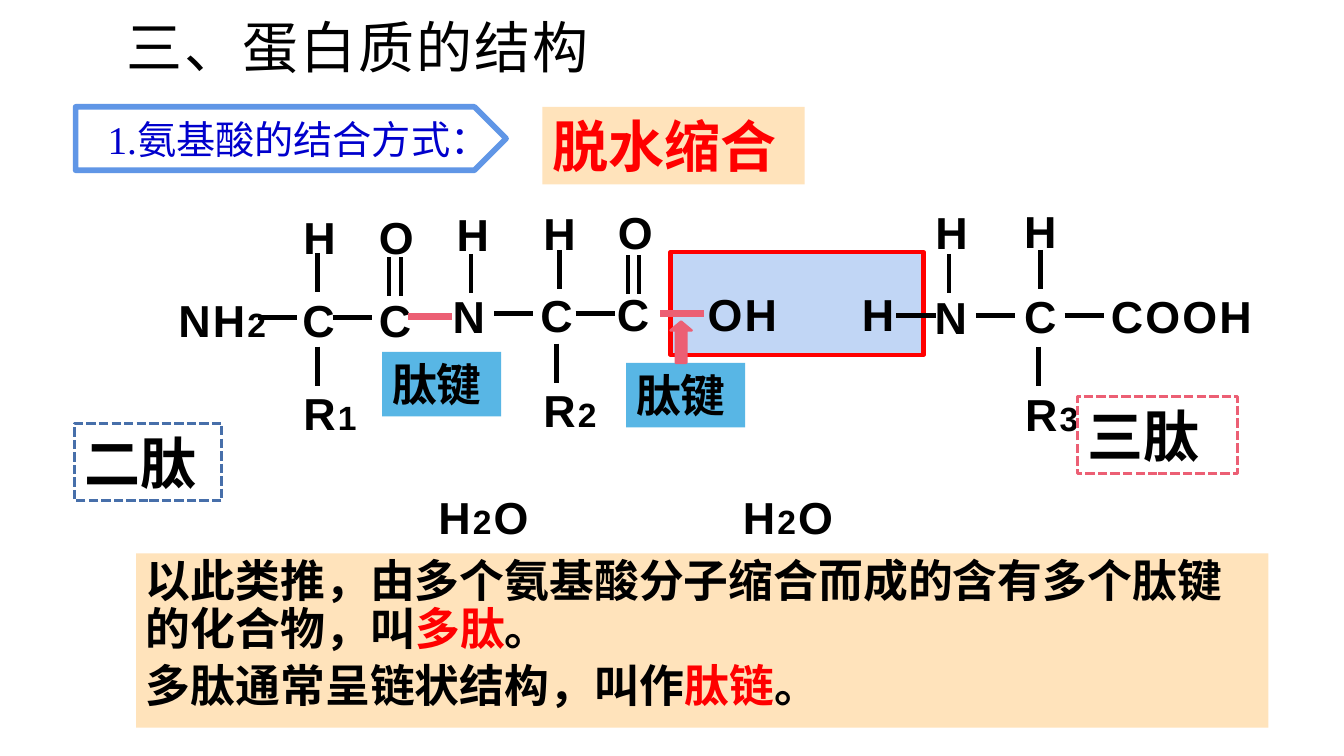
import pptx
import pptx.util
import pptx.dml.color
import pptx.enum.dml
import pptx.enum.shapes
import pptx.enum.text
import pptx.oxml.ns
from lxml import etree

Inches, Pt = pptx.util.Inches, pptx.util.Pt
SHAPE = pptx.enum.shapes.MSO_SHAPE
CJK, LATIN, SERIF = "Noto Sans CJK SC", "Arial", "Times New Roman"
BLACK, RED, PINK, CREAM, SKY = "000000", "FF0000", "EC5F74", "FFE3BB", "58B6E5"

# Content: panels as (text, left, top, width, height, size, font, text colour, fill, dashed line)
TITLE = ("三、蛋白质的结构", 1.16, 0.08, 8.45, 0.77)
HEADING = ("1.氨基酸的结合方式：", 0.75, 1.06, 4.27, 0.63)
PANELS = [
    ("脱水缩合", 5.38, 1.06, 2.6, 0.77, 40, SERIF, RED, CREAM, None),
    ("肽键", 3.79, 3.49, 1.18, 0.64, 32, CJK, BLACK, SKY, None),
    ("肽键", 6.21, 3.6, 1.18, 0.64, 32, CJK, BLACK, SKY, None),
    ("三肽", 10.69, 3.93, 1.58, 0.77, 40, CJK, BLACK, None, PINK),
    ("二肽", 0.74, 4.2, 1.46, 0.77, 40, CJK, BLACK, None, "476FAA"),
]
SUMMARY = [
    [("以此类推，由多个氨基酸分子缩合而成的含有多个肽键的化合物，叫", BLACK),
     ("多肽", RED), ("。", BLACK)],
    [("多肽通常呈链状结构，叫作", BLACK), ("肽链", RED), ("。", BLACK)],
]
# Atom groups: (formula, left, top); digits are set smaller
ATOMS = [
    ("NH2", 1.67, 2.85), ("C", 2.9, 2.85), ("H", 2.91, 2.03), ("R1", 2.91, 3.78),
    ("C", 3.66, 2.85), ("O", 3.66, 2.03), ("N", 4.39, 2.82), ("H", 4.43, 2.0),
    ("C", 5.26, 2.81), ("H", 5.29, 1.99), ("R2", 5.29, 3.75),
    ("C", 6.02, 2.8), ("O", 6.03, 1.98), ("OH", 6.92, 2.8),
    ("H", 8.45, 2.8), ("N", 9.17, 2.83), ("H", 9.18, 1.98),
    ("C", 10.06, 2.82), ("H", 10.06, 1.97), ("R3", 10.07, 3.79),
    ("COOH", 10.92, 2.82), ("H2O", 4.25, 4.81), ("H2O", 7.27, 4.81),
]
ATOM_WIDTHS = {1: 0.62, 2: 1.1, 3: 1.18, 4: 1.77}
# Bonds: start points, all of one length
BOND_LENGTH = 0.39
FLAT_BONDS = [(2.56, 3.15), (3.3, 3.15), (4.9, 3.11), (5.71, 3.11),
              (8.89, 3.13), (9.68, 3.13), (10.56, 3.13)]
UPRIGHT_BONDS = [(3.15, 2.51), (3.15, 3.44), (3.86, 2.55), (3.98, 2.55), (4.67, 2.52),
                 (5.55, 2.48), (5.52, 3.41), (6.23, 2.53), (6.34, 2.53),
                 (9.41, 2.52), (10.32, 2.48), (10.3, 3.44)]
PEPTIDE_BOND_LENGTH = 0.43
PEPTIDE_BONDS = [(4.05, 3.14), (6.55, 3.11)]

presentation = pptx.Presentation()
presentation.slide_width = Inches(13.33)
presentation.slide_height = Inches(7.5)
slide = presentation.slides.add_slide(presentation.slide_layouts[6])


def rgb(value):
    return pptx.dml.color.RGBColor.from_string(value)


def add_shape(kind, left, top, width, height, fill=None, line=None, line_width=1):
    shape = slide.shapes.add_shape(kind, Inches(left), Inches(top), Inches(width), Inches(height))
    shape.shadow.inherit = False
    if fill:
        shape.fill.solid()
        shape.fill.fore_color.rgb = rgb(fill)
    else:
        shape.fill.background()
    if line:
        shape.line.color.rgb = rgb(line)
        shape.line.width = Pt(line_width)
    else:
        shape.line.fill.background()
    frame = shape.text_frame
    frame.word_wrap = True
    frame.vertical_anchor = pptx.enum.text.MSO_ANCHOR.TOP
    frame.paragraphs[0].alignment = pptx.enum.text.PP_ALIGN.LEFT
    return shape


def add_textbox(left, top, width, height):
    frame = slide.shapes.add_textbox(
        Inches(left), Inches(top), Inches(width), Inches(height)).text_frame
    frame.word_wrap = True
    return frame


def format_run(run, size, font, color=BLACK, bold=True, spacing=0):
    run.font.size = Pt(size)
    run.font.name = font
    run.font.bold = bold
    run.font.color.rgb = rgb(color)
    properties = run.font._element
    east_asian = etree.SubElement(properties, pptx.oxml.ns.qn("a:ea"))
    east_asian.set("typeface", CJK)
    if spacing:
        properties.set("spc", str(int(spacing * 100)))


def add_bond(left, top, right, bottom, color=BLACK, width=3):
    bond = slide.shapes.add_connector(
        pptx.enum.shapes.MSO_CONNECTOR.STRAIGHT,
        Inches(left), Inches(top), Inches(right), Inches(bottom))
    bond.line.color.rgb = rgb(color)
    bond.line.width = Pt(width)
    etree.SubElement(bond._element.spPr, pptx.oxml.ns.qn("a:effectLst"))


# Title and heading
frame = add_textbox(*TITLE[1:])
frame.text = TITLE[0]
format_run(frame.paragraphs[0].runs[0], 40, CJK, bold=False, spacing=1.5)

heading = add_shape(SHAPE.PENTAGON, *HEADING[1:], "FFFFFF", "6096E6", 4)
frame = heading.text_frame
frame.text = HEADING[0]
frame.margin_left, frame.margin_right = Inches(0.31), 0
frame.vertical_anchor = pptx.enum.text.MSO_ANCHOR.MIDDLE
frame.paragraphs[0].alignment = pptx.enum.text.PP_ALIGN.CENTER
format_run(frame.paragraphs[0].runs[0], 28, SERIF, "0000CC", bold=False)

# Frame around the leaving water, 39 % opaque
water_frame = add_shape(SHAPE.RECTANGLE, 6.65, 2.5, 2.51, 1.02, "6096E6", RED, 3)
fill_color = water_frame._element.spPr.find(".//" + pptx.oxml.ns.qn("a:srgbClr"))
etree.SubElement(fill_color, pptx.oxml.ns.qn("a:alpha")).set("val", "39000")

# Atoms
for formula, left, top in ATOMS:
    frame = add_textbox(left, top, ATOM_WIDTHS[len(formula)], 0.64)
    paragraph = frame.paragraphs[0]
    head = formula.rstrip("0123456789")
    pieces = [head, formula[len(head):]] if formula != "H2O" else list(formula)
    for piece in filter(None, pieces):
        run = paragraph.add_run()
        run.text = piece
        format_run(run, 24 if piece.isdigit() else 32, LATIN, spacing=1.5)

# Bonds
for x, y in FLAT_BONDS:
    add_bond(x, y, x + BOND_LENGTH, y)
for x, y in UPRIGHT_BONDS:
    add_bond(x, y, x, y + BOND_LENGTH)

# Labelled panels
for text, left, top, width, height, size, font, color, fill, line in PANELS:
    panel = add_shape(SHAPE.RECTANGLE, left, top, width, height, fill, line, 2.25)
    if line:
        panel.line.dash_style = pptx.enum.dml.MSO_LINE.SQUARE_DOT
    panel.text_frame.text = text
    format_run(panel.text_frame.paragraphs[0].runs[0], size, font, color)

# Peptide bonds and the arrow pointing at the second one
arrow = add_shape(SHAPE.DOWN_ARROW, 6.65, 3.19, 0.21, 0.41, PINK, PINK, 1.75)
arrow.rotation = 180
arrow.adjustments[1] = 0.42
for x, y in PEPTIDE_BONDS:
    add_bond(x, y, x + PEPTIDE_BOND_LENGTH, y, PINK, 4.5)

# Summary
frame = add_shape(SHAPE.RECTANGLE, 1.35, 5.49, 11.23, 1.73, CREAM).text_frame
for index, pieces in enumerate(SUMMARY):
    paragraph = frame.add_paragraph() if index else frame.paragraphs[0]
    paragraph.alignment = pptx.enum.text.PP_ALIGN.LEFT
    paragraph.line_spacing = 0.9
    paragraph.space_before = Pt(6.4 * index)
    for text, color in pieces:
        run = paragraph.add_run()
        run.text = text
        format_run(run, 32, CJK, color)

presentation.save("out.pptx")
